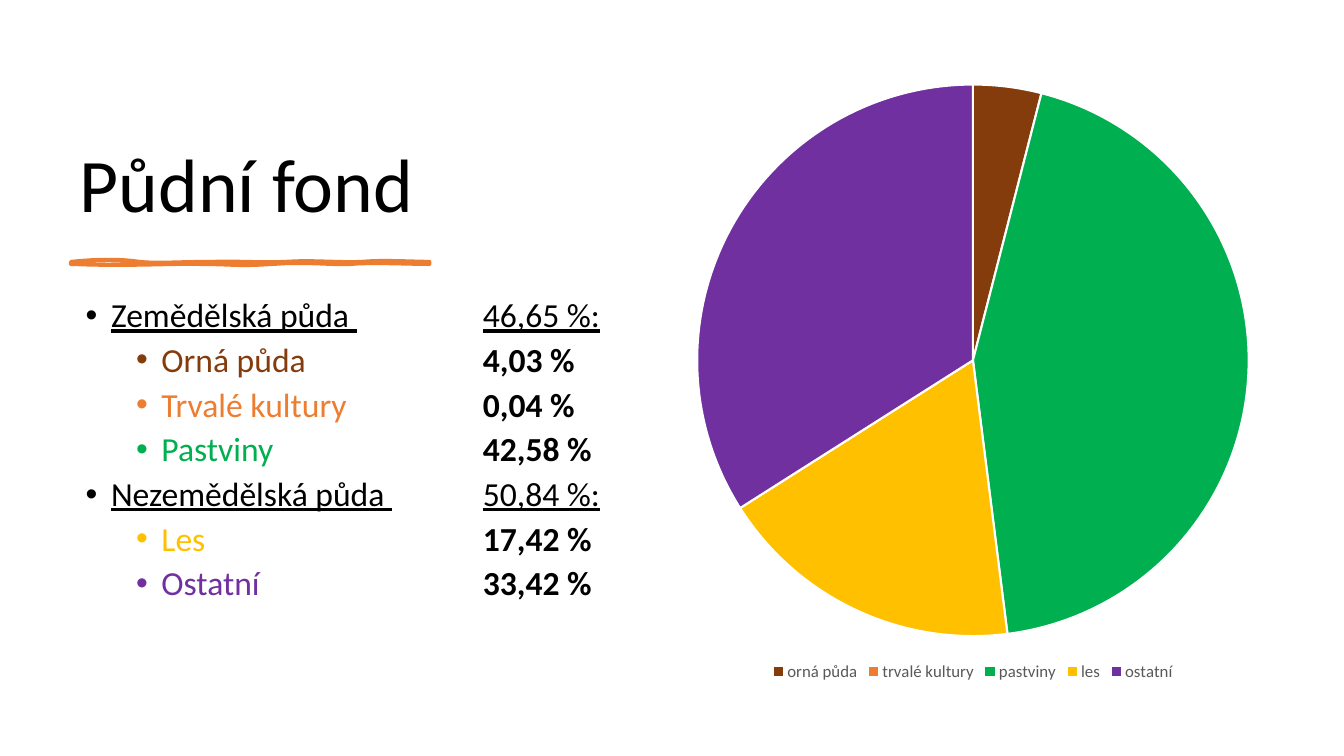
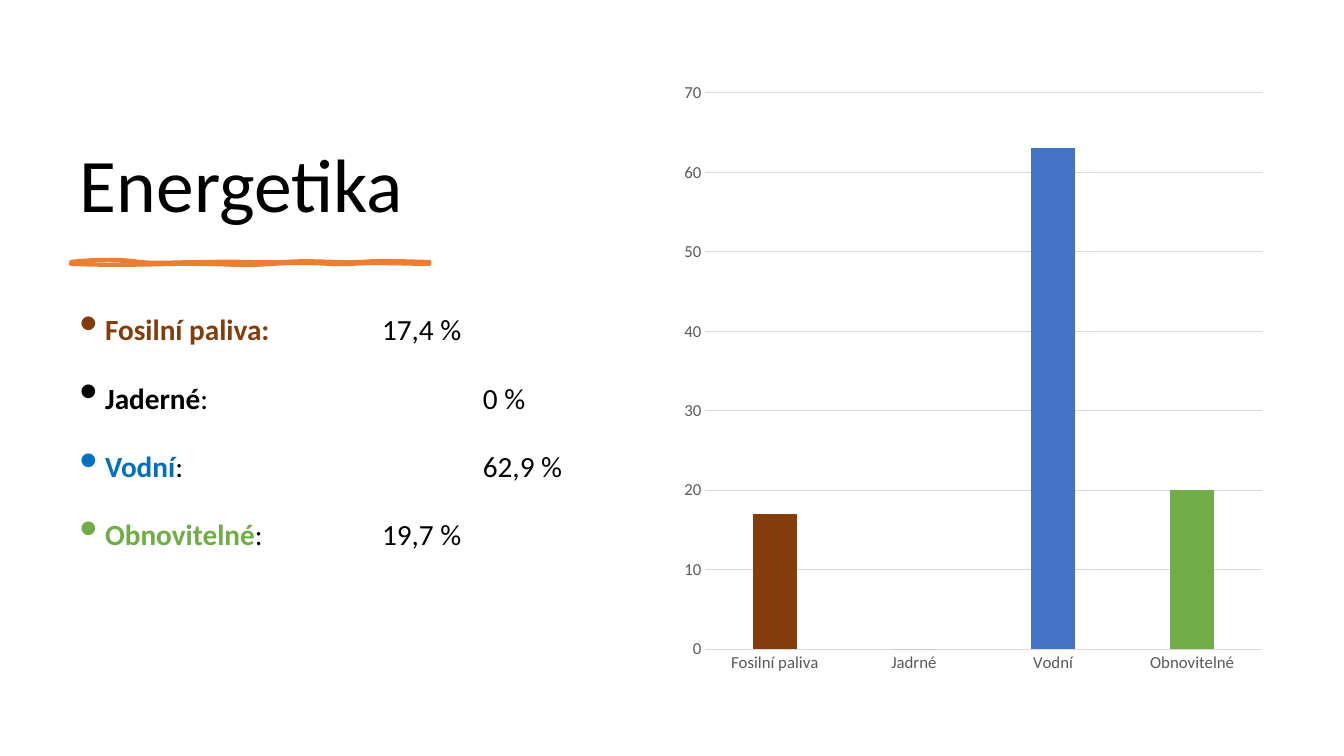
from lxml import etree
from pptx import Presentation
from pptx.chart.data import CategoryChartData
from pptx.dml.color import RGBColor
from pptx.enum.chart import XL_CHART_TYPE as ChartType
from pptx.enum.chart import XL_LEGEND_POSITION as LegendPos
from pptx.enum.chart import XL_TICK_MARK as Tick
from pptx.enum.text import MSO_ANCHOR as Anchor
from pptx.enum.text import MSO_AUTO_SIZE as AutoSize
from pptx.enum.text import PP_ALIGN as Align
from pptx.oxml.ns import qn
from pptx.util import Cm, Pt

BLACK, WHITE, GREY, GRID = "000000", "FFFFFF", "595959", "D9D9D9"
BROWN, ORANGE, GREEN = "843C0C", "ED7D31", "00B050"
YELLOW, PURPLE = "FFC000", "7030A0"
BLUE, BAR_BLUE, LEAF = "0070C0", "4472C4", "70AD47"

# Brush stroke in cm: start point, then (control, control, end) curves.
BRUSH_START = (1.79, 6.6)
BRUSH_CURVES = [
    ((2.46, 6.53), (3.07, 6.53), (3.51, 6.6)),
    ((3.94, 6.65), (4.5, 6.6), (5.31, 6.6)),
    ((6.12, 6.58), (6.6, 6.63), (7.21, 6.6)),
    ((7.82, 6.55), (8.61, 6.63), (9.12, 6.6)),
    ((9.63, 6.55), (10.46, 6.6), (10.82, 6.6)),
    ((10.82, 6.6), (10.82, 6.63), (10.82, 6.65)),
    ((10.36, 6.65), (9.25, 6.6), (8.84, 6.65)),
    ((8.43, 6.68), (7.72, 6.58), (6.86, 6.65)),
    ((5.97, 6.71), (5.87, 6.65), (5.05, 6.65)),
    ((4.22, 6.63), (3.35, 6.71), (1.79, 6.65)),
]


def rgb(value):
    return RGBColor.from_string(value)


def box(left, top, width, height):
    return Cm(left), Cm(top), Cm(width), Cm(height)


def bezier(start, curves, steps=8):
    """Return points along a chain of cubic curves, in EMU."""
    points = []
    for c1, c2, end in curves:
        for i in range(1, steps + 1):
            t = i / steps
            u = 1 - t
            points.append(tuple(
                Cm(u**3 * a + 3 * u * u * t * b + 3 * u * t * t * c + t**3 * d)
                for a, b, c, d in zip(start, c1, c2, end)))
        start = end
    return points


def add_run(p, text, size=24, color=BLACK, bold=False, underline=False, raised=0):
    """Add formatted text; raised is the baseline shift in percent."""
    r = p.add_run()
    r.text = text
    font = r.font
    font.name, font.size = Deck.font, Pt(size)
    font.bold, font.underline = bold, underline
    font.color.rgb = rgb(color)
    if raised:
        r._r.get_or_add_rPr().set("baseline", str(raised * 1000))


def add_bullet(p, indent, tab):
    """Hang a bullet at indent (cm) and set one tab stop (cm)."""
    pPr = p._p.get_or_add_pPr()
    pPr.set("marL", str(Cm(indent)))
    pPr.set("indent", str(-Cm(0.64)))
    etree.SubElement(pPr, qn("a:buFont"), typeface="Arial")
    etree.SubElement(pPr, qn("a:buChar"), char="•")
    tabs = etree.SubElement(pPr, qn("a:tabLst"))
    etree.SubElement(tabs, qn("a:tab"), pos=str(Cm(tab)), algn="l")


class Deck:
    font = "Calibri"
    title_box = box(1.76, 1.78, 13.39, 4.11)
    body_box = box(1.76, 7.4, 14.91, 9.86)
    chart_box = box(16.94, 1.78, 15.16, 15.49)

    def __init__(self):
        self.prs = Presentation()
        self.prs.slide_width, self.prs.slide_height = Cm(33.87), Cm(19.05)
        self.s = None

    def slide(self, title):
        self.s = self.prs.slides.add_slide(self.prs.slide_layouts[5])
        sp = self.s.shapes.title
        sp.left, sp.top, sp.width, sp.height = self.title_box
        tf = sp.text_frame
        tf.auto_size, tf.vertical_anchor = AutoSize.NONE, Anchor.BOTTOM
        p = tf.paragraphs[0]
        p.alignment, p.line_spacing = Align.LEFT, 0.9
        add_run(p, title, size=54)
        self.brush()

    def brush(self):
        start = [Cm(v) for v in BRUSH_START]
        builder = self.s.shapes.build_freeform(*start)
        builder.add_line_segments(bezier(BRUSH_START, BRUSH_CURVES), close=True)
        sp = builder.convert_to_shape()
        sp.shadow.inherit = False
        sp.fill.background()
        sp.line.color.rgb = rgb(ORANGE)
        sp.line.width = Pt(3)

    def bullets(self, rows, before=0, after=0):
        """Each row is (indent cm, tab cm, [(text, format), ...])."""
        tf = self.s.shapes.add_textbox(*self.body_box).text_frame
        tf.word_wrap = True
        for i, (indent, tab, runs) in enumerate(rows):
            p = tf.add_paragraph() if i else tf.paragraphs[0]
            p.line_spacing = 0.9
            p.space_before, p.space_after = Pt(before if i else 0), Pt(after)
            add_bullet(p, indent, tab)
            for text, style in runs:
                add_run(p, text, **style)

    def chart(self, kind, values, colors):
        """Add a one-series chart with a colour for each point."""
        data = CategoryChartData()
        data.categories = list(values)
        data.add_series("Series 1", list(values.values()))
        chart = self.s.shapes.add_chart(kind, *self.chart_box, data).chart
        chart.has_title = chart.has_legend = False
        chart.font.name, chart.font.size = self.font, Pt(12)
        chart.font.color.rgb = rgb(GREY)
        for i, color in enumerate(colors):
            fill = chart.plots[0].series[0].points[i].format.fill
            fill.solid()
            fill.fore_color.rgb = rgb(color)
        return chart

    def pie(self, values, colors):
        chart = self.chart(ChartType.PIE, values, colors)
        chart.plots[0].vary_by_categories = True
        for i in range(len(values)):
            line = chart.plots[0].series[0].points[i].format.line
            line.color.rgb = rgb(WHITE)
            line.width = Pt(1.5)
        chart.has_legend = True
        chart.legend.position = LegendPos.BOTTOM
        chart.legend.include_in_layout = False

    def columns(self, values, colors, maximum, step):
        chart = self.chart(ChartType.COLUMN_CLUSTERED, values, colors)
        plot = chart.plots[0]
        plot.vary_by_categories = False
        plot.gap_width, plot.overlap = 219, -27
        cat, val = chart.category_axis, chart.value_axis
        for axis in (cat, val):
            axis.major_tick_mark = axis.minor_tick_mark = Tick.NONE
        val.minimum_scale, val.maximum_scale, val.major_unit = 0, maximum, step
        val.format.line.fill.background()
        for line in (cat.format.line, val.major_gridlines.format.line):
            line.color.rgb = rgb(GRID)
            line.width = Pt(0.75)


def land_slide(deck):
    deck.slide("Půdní fond")
    groups = [
        ("Zemědělská půda", "46,65 %:", [
            ("Orná půda", "4,03 %", BROWN),
            ("Trvalé kultury", "0,04 %", ORANGE),
            ("Pastviny", "42,58 %", GREEN)]),
        ("Nezemědělská půda", "50,84 %:", [
            ("Les", "17,42 %", YELLOW),
            ("Ostatní", "33,42 %", PURPLE)]),
    ]
    rows = []
    for group, total, parts in groups:
        rows.append((0.79, 10.16, [(f"{group} \t{total}", {"underline": True})]))
        for name, share, color in parts:
            rows.append((2.06, 10.16, [(f"{name}\t", {"color": color}),
                                       (share, {"bold": True})]))
    deck.bullets(rows, after=6)
    deck.pie({"orná půda": 4, "trvalé kultury": 0, "pastviny": 44,
              "les": 18, "ostatní": 34},
             [BROWN, ORANGE, GREEN, YELLOW, PURPLE])


def energy_slide(deck):
    deck.slide("Energetika")
    sources = [
        ("Fosilní paliva:", "", "17,4 %", BROWN, 7.62),
        ("Jaderné", ":", "0 %", BLACK, 10.16),
        ("Vodní", ":", "62,9 %", BLUE, 10.16),
        ("Obnovitelné", ":", "19,7 %", LEAF, 7.62),
    ]
    base = {"size": 36, "raised": 3}
    deck.bullets([(0.64, tab, [(name, {**base, "color": color, "bold": True}),
                               (f"{colon}\t{share}", base)])
                  for name, colon, share, color, tab in sources], before=10)
    deck.columns({"Fosilní paliva": 17, "Jadrné": 0, "Vodní": 63,
                  "Obnovitelné": 20},
                 [BROWN, BAR_BLUE, BAR_BLUE, LEAF], maximum=70, step=10)


def main():
    deck = Deck()
    land_slide(deck)
    energy_slide(deck)
    deck.prs.save("out.pptx")


if __name__ == "__main__":
    main()
